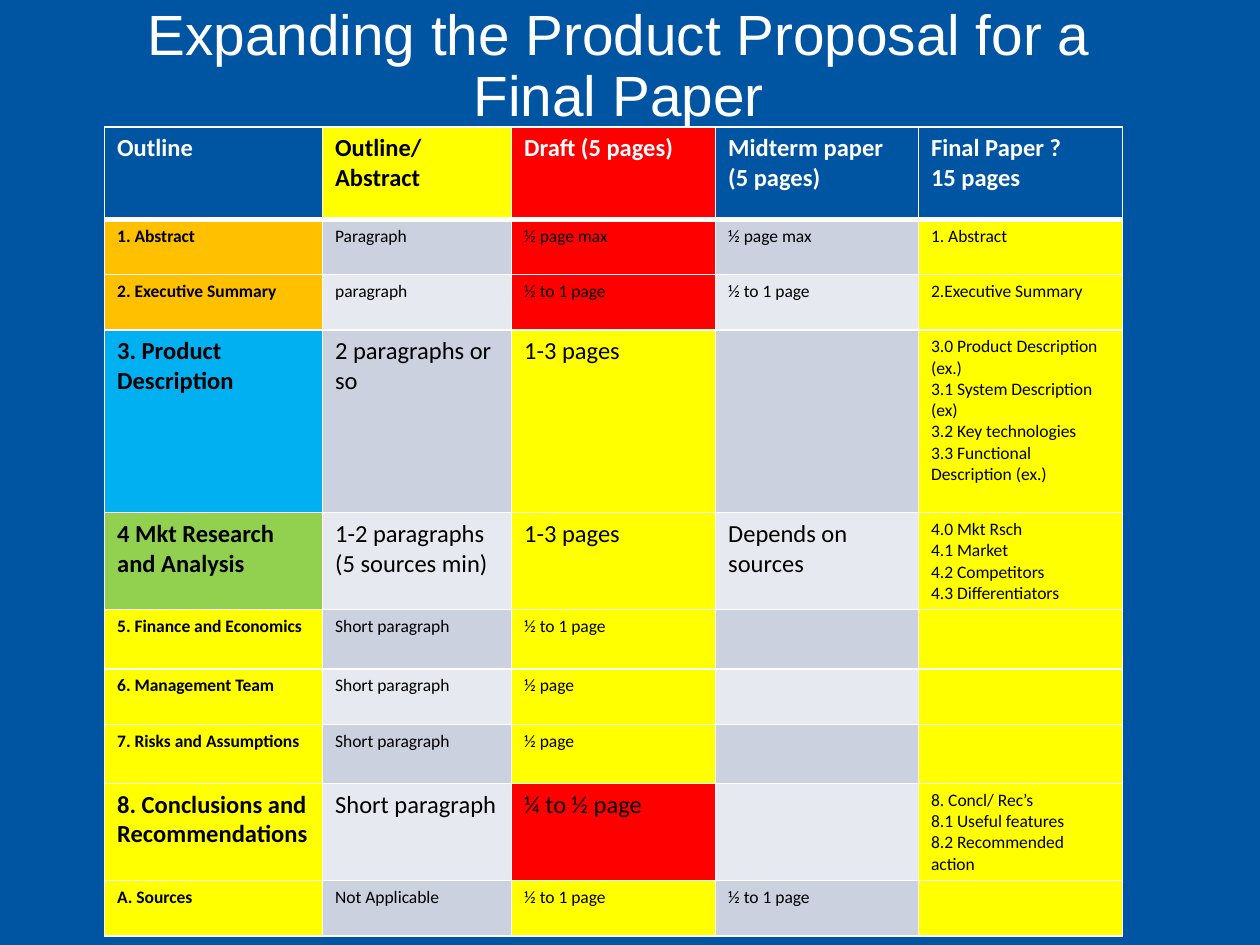
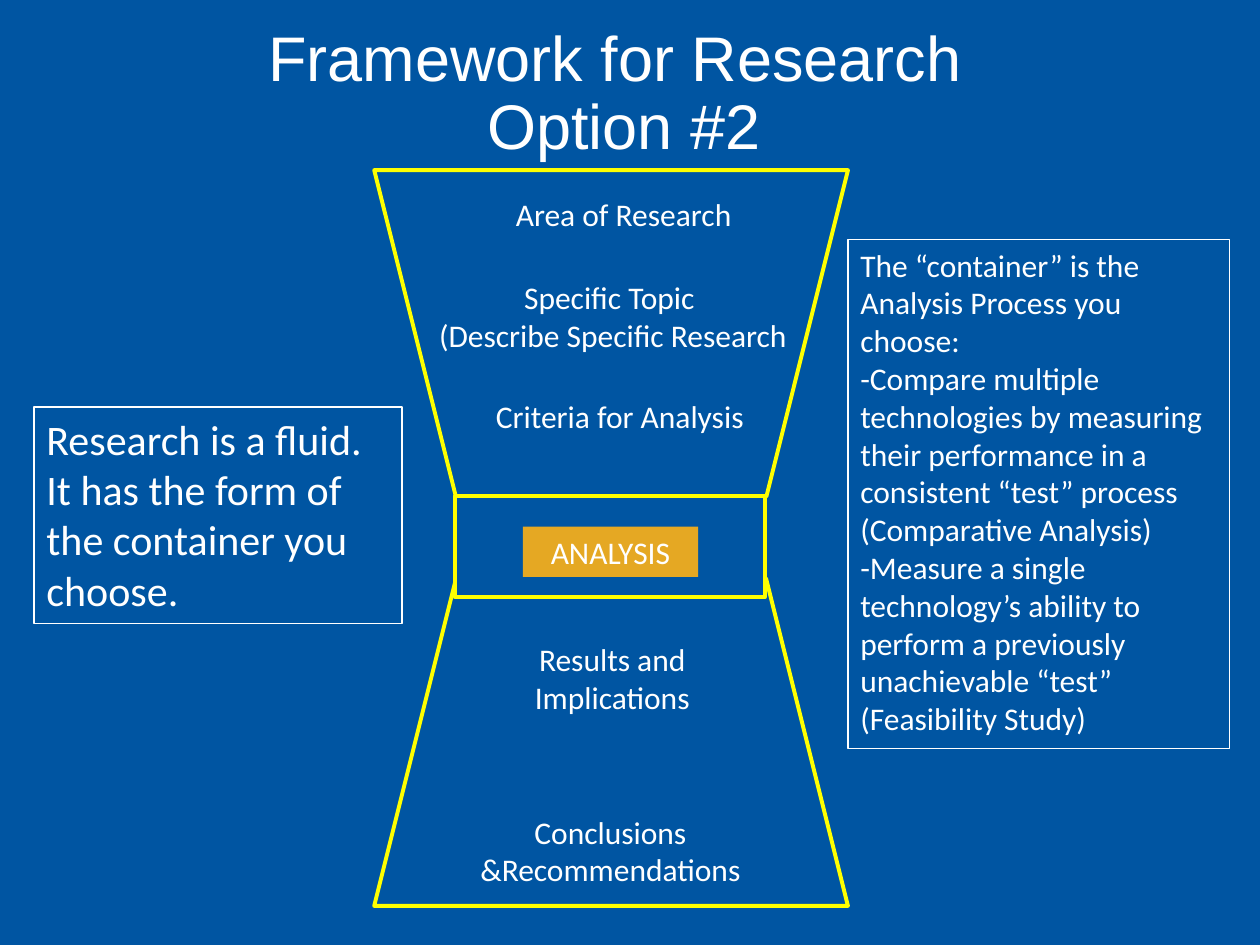
"""Build two slides on expanding a product proposal and framing the research."""
from lxml import etree
from pptx import Presentation
from pptx import util as u
from pptx.dml.color import RGBColor
from pptx.enum import shapes, text
from pptx.oxml import ns

COLORS = {
    "blue": "0055A2", "white": "FFFFFF", "black": "000000", "yellow": "FFFF00",
    "red": "FF0000", "orange": "FFC000", "sky": "00B0F0", "green": "92D050",
    "gold": "E5A823", "band_dark": "CCD1E0", "band_light": "E7E9F0",
}
CENTER = text.PP_ALIGN.CENTER
LEFT = text.PP_ALIGN.LEFT
MIDDLE = text.MSO_ANCHOR.MIDDLE
TOP = text.MSO_ANCHOR.TOP
KIND = shapes.MSO_SHAPE

deck = Presentation()
deck.slide_width, deck.slide_height = u.Inches(10), u.Inches(7.5)
UNIT = deck.slide_width / 100


def write(frame, words, size=18, color="white", bold=False, font="Calibri",
          align=LEFT, anchor=TOP, spacing=None):
    frame.word_wrap = True
    frame.vertical_anchor = anchor
    for number, line in enumerate(words.split("\n")):
        para = frame.add_paragraph() if number else frame.paragraphs[0]
        para.text = line
        para.alignment = align
        para.line_spacing = spacing
        for span in para.runs:
            span.font.size = u.Pt(size)
            span.font.name = font
            span.font.bold = bold
            span.font.color.rgb = RGBColor.from_string(COLORS[color])


def add_box(page, grid, kind=None, fill=None, line=None, weight=2.25):
    place = [round(length * UNIT) for length in grid]
    if kind is None:
        return page.shapes.add_textbox(*place)
    box = page.shapes.add_shape(kind, *place)
    box.shadow.inherit = False
    if fill:
        box.fill.solid()
        box.fill.fore_color.rgb = RGBColor.from_string(COLORS[fill])
    else:
        box.fill.background()
    if line:
        box.line.color.rgb = RGBColor.from_string(COLORS[line])
        box.line.width = u.Pt(weight)
    else:
        box.line.fill.background()
    return box


TITLES = [
    ("Expanding the Product Proposal for a Final Paper", 32.4, (6, 0.5, 86.2, 9.7)),
    ("Framework for Research \vOption #2", 36, (6.4, 2.7, 86.2, 9.7)),
]
pages = []
for title, size, grid in TITLES:
    page = deck.slides.add_slide(deck.slide_layouts[6])
    page.background.fill.solid()
    page.background.fill.fore_color.rgb = RGBColor.from_string(COLORS["blue"])
    write(add_box(page, grid).text_frame, title, size=size, font="Arial",
          align=CENTER, anchor=MIDDLE, spacing=0.9)
    pages.append(page)
outline_page, framework_page = pages

HEADER = ["Outline", "Outline/ Abstract", "Draft (5 pages)",
          "Midterm paper (5 pages)", "Final Paper ?\n15 pages"]
HEADER_FILLS = ["blue", "yellow", "red", "blue", "blue"]
SECTIONS = [
    (4.4, 10, "orange", "red",
     ["1. Abstract", "Paragraph", "½ page max", "½ page max", "1. Abstract"]),
    (4.4, 10, "orange", "red",
     ["2. Executive Summary", "paragraph", "½ to 1 page", "½ to 1 page",
      "2.Executive Summary"]),
    (14.5, 14, "sky", "yellow",
     ["3. Product Description", "2 paragraphs or so", "1-3 pages", "",
      "3.0 Product Description (ex.)\n3.1 System Description (ex)\n"
      "3.2 Key technologies\n3.3 Functional Description (ex.)"]),
    (7.7, 14, "green", "yellow",
     ["4 Mkt Research and Analysis", "1-2 paragraphs\n(5 sources min)",
      "1-3 pages", "Depends on sources",
      "4.0 Mkt Rsch\n4.1 Market\n4.2 Competitors\n4.3 Differentiators"]),
    (4.7, 10, "yellow", "yellow",
     ["5. Finance and Economics", "Short paragraph", "½ to 1 page", "", ""]),
    (4.4, 10, "yellow", "yellow",
     ["6. Management Team", "Short paragraph", "½ page", "", ""]),
    (4.7, 10, "yellow", "yellow",
     ["7. Risks and Assumptions", "Short paragraph", "½ page", "", ""]),
    (7.7, 14, "yellow", "red",
     ["8. Conclusions and Recommendations", "Short paragraph", "¼ to ½ page", "",
      "8. Concl/ Rec’s\n8.1 Useful features\n8.2 Recommended action"]),
    (4.4, 10, "yellow", "yellow",
     ["A. Sources", "Not Applicable", "½ to 1 page", "½ to 1 page", ""]),
]
rows = [(7.3, 14, HEADER_FILLS, HEADER)]
for number, (height, size, name_fill, draft_fill, words) in enumerate(SECTIONS):
    band = "band_light" if number % 2 else "band_dark"
    rows.append((height, size, [name_fill, band, draft_fill, band, "yellow"], words))

widths = [17.3, 15, 16.2, 16.1, 16.2]
table_grid = (8.3, 10.1, sum(widths), sum(row[0] for row in rows))
table = outline_page.shapes.add_table(
    len(rows), len(widths), *[round(length * UNIT) for length in table_grid]).table
for column, width in zip(table.columns, widths):
    column.width = round(width * UNIT)

for r, (height, size, fills, words) in enumerate(rows):
    table.rows[r].height = round(height * UNIT)
    for c, (fill, label) in enumerate(zip(fills, words)):
        cell = table.cell(r, c)
        properties = cell._tc.get_or_add_tcPr()
        for side in "LRTB":
            thick = (r, side) in ((0, "B"), (1, "T"))
            border = etree.SubElement(properties, ns.qn(f"a:ln{side}"),
                                      w=str(u.Pt(3 if thick else 1)))
            paint = etree.SubElement(border, ns.qn("a:solidFill"))
            etree.SubElement(paint, ns.qn("a:srgbClr"), val=COLORS["white"])
        cell.fill.solid()
        cell.fill.fore_color.rgb = RGBColor.from_string(COLORS[fill])
        if label:
            write(cell.text_frame, label, size=10 if r and c == 4 else size,
                  bold=r == 0 or c == 0,
                  color="black" if r or fill == "yellow" else "white")

funnel = add_box(framework_page, (29.7, 13.5, 37.6, 25.9), KIND.TRAPEZOID, "blue", "yellow")
funnel.rotation = 180
add_box(framework_page, (29.7, 45.9, 37.6, 26), KIND.TRAPEZOID, "blue", "yellow")
add_box(framework_page, (36.1, 39.4, 24.6, 8), KIND.RECTANGLE, "blue", "yellow")

STAGES = [
    ("Area of Research", (38.2, 15, 22.6, 4)),
    ("Specific Topic \n(Describe Specific Research", (32, 21.6, 33.3, 7.1)),
    ("Criteria for Analysis", (37.9, 31, 22.6, 4)),
    ("Results and Implications", (37.3, 50.3, 22.6, 7.1)),
    ("Conclusions &Recommendations", (36.1, 64, 24.7, 7.1)),
]
for words, grid in STAGES:
    write(add_box(framework_page, grid).text_frame, words, align=CENTER)
analysis = add_box(framework_page, (41.5, 41.8, 13.9, 4), KIND.RECTANGLE, "gold")
write(analysis.text_frame, "ANALYSIS", align=CENTER)

NOTES = [
    ("Research is a fluid.\nIt has the form of the container you choose.",
     24, (2.7, 32.3, 29.2, 17.2)),
    ("The “container” is the Analysis Process you choose:\n"
     "-Compare multiple technologies by measuring their performance in a "
     "consistent “test” process (Comparative Analysis)\n"
     "-Measure a single technology’s ability to perform a previously "
     "unachievable “test” (Feasibility Study)",
     18, (67.3, 19, 30.3, 40.4)),
]
for words, size, grid in NOTES:
    note = add_box(framework_page, grid, KIND.RECTANGLE, line="white", weight=0.75)
    write(note.text_frame, words, size=size)

deck.save("out.pptx")
